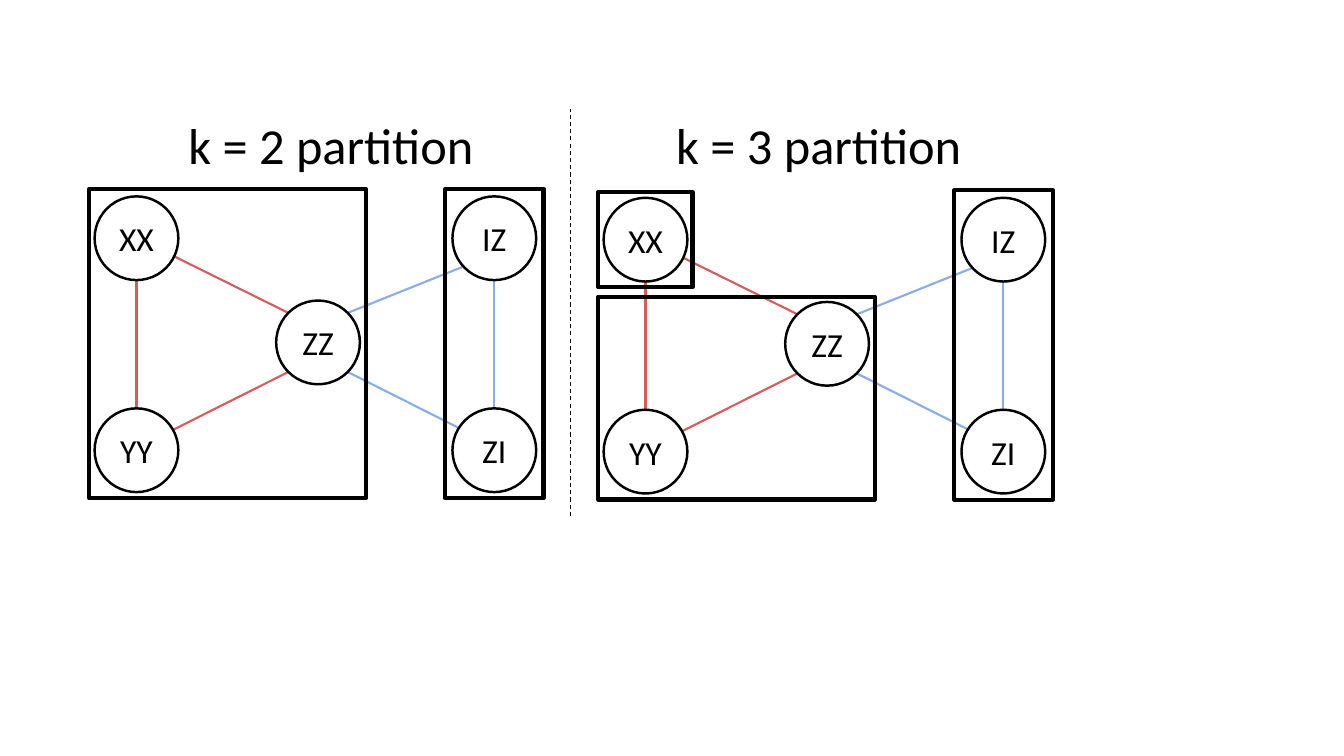
import pptx
import pptx.util
import pptx.dml.color
import pptx.enum.dml
import pptx.enum.shapes
import pptx.enum.text
import pptx.oxml.xmlchemy

Pt = pptx.util.Pt
RED, BLUE, BLACK, WHITE = "D95B59", "88ADE8", "000000", "FFFFFF"
FONT = "Calibri"
SIZE = 59.8  # node diameter

# Node centres within a panel
nodes = {
    "YY": (97.5, 321.6),
    "XX": (97.5, 170.2),
    "IZ": (353.1, 170.2),
    "ZI": (353.1, 321.6),
    "ZZ": (227.2, 244.6),
}

# Each edge: node and offset from its centre, twice, then colour
edges = [
    ("XX", (21, 10), "ZZ", (-21, -21), RED),
    ("XX", (0, 29.5), "YY", (0, -29.5), RED),
    ("ZZ", (-21, 21), "YY", (21, -12), RED),
    ("ZZ", (21, -21), "IZ", (-10.4, 15.5), BLUE),
    ("ZZ", (21, 21), "ZI", (-17.5, -12), BLUE),
    ("ZI", (0, -29.5), "IZ", (0, 29.5), BLUE),
]

# Panel shift, title with its left, partition boxes (left, top, width, height)
panels = [
    ((0, 0), "k = 2 partition", 127.5,
     [(63.8, 135, 197.5, 221), (318.1, 135, 70.2, 221)]),
    ((363.6, 1), "k = 3 partition", 475.9,
     [(427.4, 211.9, 197.5, 144.9), (681.7, 136, 70.2, 221),
      (427.4, 137.2, 67.3, 67.9)]),
]

deck = pptx.Presentation()
deck.slide_width, deck.slide_height = Pt(960), Pt(540)
slide = deck.slides.add_slide(deck.slide_layouts[6])
shapes = slide.shapes


def color(code):
    return pptx.dml.color.RGBColor.from_string(code)


def line(start, end, code, width):
    link = shapes.add_connector(
        pptx.enum.shapes.MSO_CONNECTOR.STRAIGHT,
        *[Pt(v) for v in (*start, *end)])
    link.line.color.rgb = color(code)
    link.line.width = Pt(width)
    props = link._element.spPr
    props.append(pptx.oxml.xmlchemy.OxmlElement("a:effectLst"))
    return link


def shape(kind, area, width, fill=None):
    item = shapes.add_shape(kind, *[Pt(v) for v in area])
    item.shadow.inherit = False
    if fill:
        item.fill.solid()
        item.fill.fore_color.rgb = color(fill)
    else:
        item.fill.background()
    item.line.color.rgb = color(BLACK)
    item.line.width = Pt(width)
    return item


def write(frame, text, size):
    frame.word_wrap = False
    par = frame.paragraphs[0]
    par.text = text
    par.font.name = FONT
    par.font.size = Pt(size)
    par.font.color.rgb = color(BLACK)
    return par


def shift(point, move):
    return point[0] + move[0], point[1] + move[1]


kinds = pptx.enum.shapes.MSO_SHAPE
for move, title, left, boxes in panels:
    spots = {name: shift(spot, move) for name, spot in nodes.items()}

    # Edges lie behind the nodes
    for first, out, last, into, code in edges:
        line(shift(spots[first], out), shift(spots[last], into), code, 1.5)

    # Nodes
    for name, (x, y) in spots.items():
        area = (x - SIZE / 2, y - SIZE / 2, SIZE, SIZE)
        node = shape(kinds.OVAL, area, 1.75, WHITE)
        frame = node.text_frame
        frame.vertical_anchor = pptx.enum.text.MSO_ANCHOR.MIDDLE
        par = write(frame, name, 24)
        par.alignment = pptx.enum.text.PP_ALIGN.CENTER

    # Partition boxes
    for area in boxes:
        shape(kinds.RECTANGLE, area, 3)

    # Title
    label = shapes.add_textbox(Pt(left), Pt(77.8), Pt(220.3), Pt(51))
    write(label.text_frame, title, 36)
    label.text_frame.auto_size = pptx.enum.text.MSO_AUTO_SIZE.SHAPE_TO_FIT_TEXT

# Divider between the panels
rule = line((407.5, 368.6), (407.5, 77.8), BLACK, 0.75)
rule.line.dash_style = pptx.enum.dml.MSO_LINE.DASH

deck.save("out.pptx")
